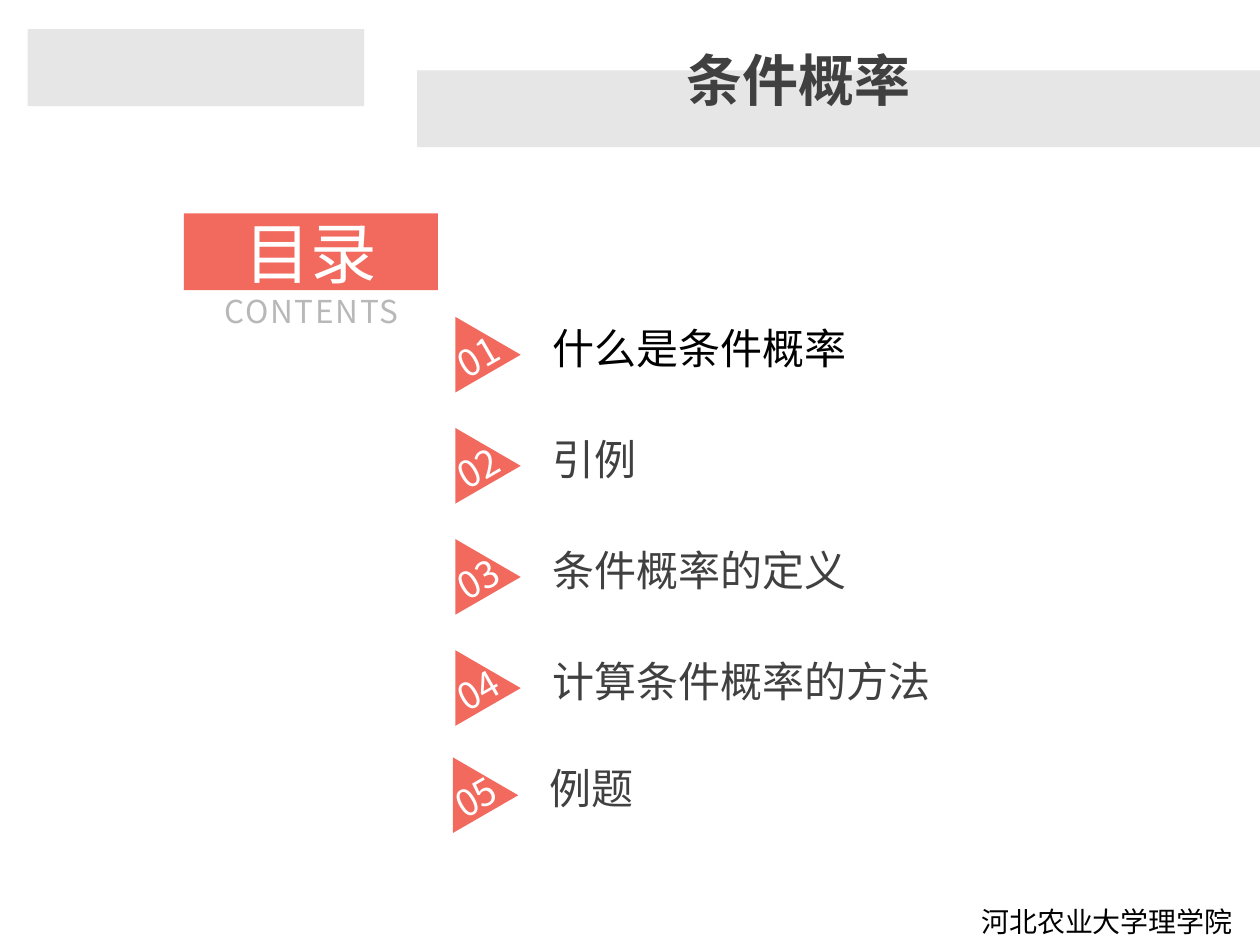
import pptx
import pptx.util
import pptx.dml.color
import pptx.enum.shapes
import pptx.enum.text
import lxml.etree
from dataclasses import dataclass
from pptx.oxml.ns import qn

Cm = pptx.util.Cm
ALIGN = pptx.enum.text.PP_ALIGN
ANCHOR = pptx.enum.text.MSO_ANCHOR


@dataclass(frozen=True)
class Theme:
    font: str = "Noto Sans CJK SC"
    accent: str = "F2695E"
    band: str = "E6E6E6"
    white: str = "FFFFFF"
    black: str = "000000"
    dark: str = "404040"
    muted: str = "B8B8B8"
    heading: int = 38
    title: int = 32
    item: int = 24
    number: int = 21
    caption: int = 18
    footer: int = 16


class Deck:
    def __init__(self, theme, s):
        self.theme = theme
        self.s = s

    def fill(self, sp, color):
        sp.shadow.inherit = False
        sp.fill.solid()
        sp.fill.fore_color.rgb = pptx.dml.color.RGBColor.from_string(color)
        sp.line.fill.background()
        return sp

    def label(self, sp, text, size, color, align=ALIGN.LEFT, anchor=ANCHOR.MIDDLE,
              insets=(0, 0, 0, 0), bold=False, spacing=None):
        tf = sp.text_frame
        left, top, right, bottom = map(Cm, insets)
        frame = {"word_wrap": True, "vertical_anchor": anchor, "margin_left": left,
                 "margin_top": top, "margin_right": right, "margin_bottom": bottom}
        for name, value in frame.items():
            setattr(tf, name, value)
        p = tf.paragraphs[0]
        p.alignment = align
        r = p.add_run()
        r.text = text
        style = {"size": pptx.util.Pt(size), "bold": bold, "name": self.theme.font}
        r.font.color.rgb = pptx.dml.color.RGBColor.from_string(color)
        for name, value in style.items():
            setattr(r.font, name, value)
        rpr = r.font._element
        lxml.etree.SubElement(rpr, qn("a:ea")).set("typeface", self.theme.font)
        if spacing:
            rpr.set("spc", str(spacing * 100))

    def rect(self, x, y, w, h, color):
        kind = pptx.enum.shapes.MSO_SHAPE.RECTANGLE
        return self.fill(self.s.shapes.add_shape(kind, Cm(x), Cm(y), Cm(w), Cm(h)), color)

    def text(self, x, y, w, h, text, size, color, **options):
        sp = self.s.shapes.add_textbox(Cm(x), Cm(y), Cm(w), Cm(h))
        self.label(sp, text, size, color, **options)

    def marker(self, x, y, w, h, text):
        """Triangle turned to point right, with its number tilted."""
        builder = self.s.shapes.build_freeform(Cm(x), Cm(y + h))
        builder.add_line_segments([(Cm(x + w / 2), Cm(y)), (Cm(x + w), Cm(y + h))])
        sp = self.fill(builder.convert_to_shape(), self.theme.accent)
        sp.rotation = 330
        self.label(sp, text, self.theme.number, self.theme.white,
                   align=ALIGN.CENTER, insets=(0, 0.51, 0, 0))


def main():
    prs = pptx.Presentation()
    prs.slide_width, prs.slide_height = Cm(25.4), Cm(19.05)
    t = Theme()
    deck = Deck(t, prs.slides.add_slide(prs.slide_layouts[6]))

    # Header bands and footer
    deck.rect(0.56, 0.59, 6.78, 1.55, t.band)
    deck.rect(8.41, 1.42, 16.99, 1.55, t.band)
    deck.text(11.1, 18.11, 14, 0.94, "河北农业大学理学院", t.footer, t.black,
              align=ALIGN.RIGHT, anchor=ANCHOR.TOP, insets=(0.25, 0.13, 0.25, 0.13))

    # Slide title
    deck.text(12.7, 0, 5.89, 3.18, "条件概率", t.title, t.dark, bold=True,
              align=ALIGN.RIGHT, insets=(0.23, 0.1, 0.23, 0.1))

    # Contents heading
    heading = deck.rect(3.71, 4.3, 5.12, 1.55, t.accent)
    deck.label(heading, "目录", t.heading, t.white, align=ALIGN.CENTER)
    deck.text(3.73, 5.89, 5.1, 1.35, "CONTENTS", t.caption, t.muted,
              align=ALIGN.CENTER, anchor=ANCHOR.TOP, spacing=1)

    # Contents list: the last row sits slightly up and to the left
    items = ["什么是条件概率", "引例", "条件概率的定义", "计算条件概率的方法", "例题"]
    pitch = 2.24
    for i, item in enumerate(items):
        last = i == len(items) - 1
        x = 11.08 if last else 11.13
        y = 6.38 + i * pitch - (0.08 if last else 0)
        deck.text(x, y, 10.29, 1.24, item, t.item, t.dark if i else t.black)
        deck.marker(x - 2.38, y - 0.08, 1.52, 1.32, f"{i + 1:02d}")

    prs.save("out.pptx")


if __name__ == "__main__":
    main()
